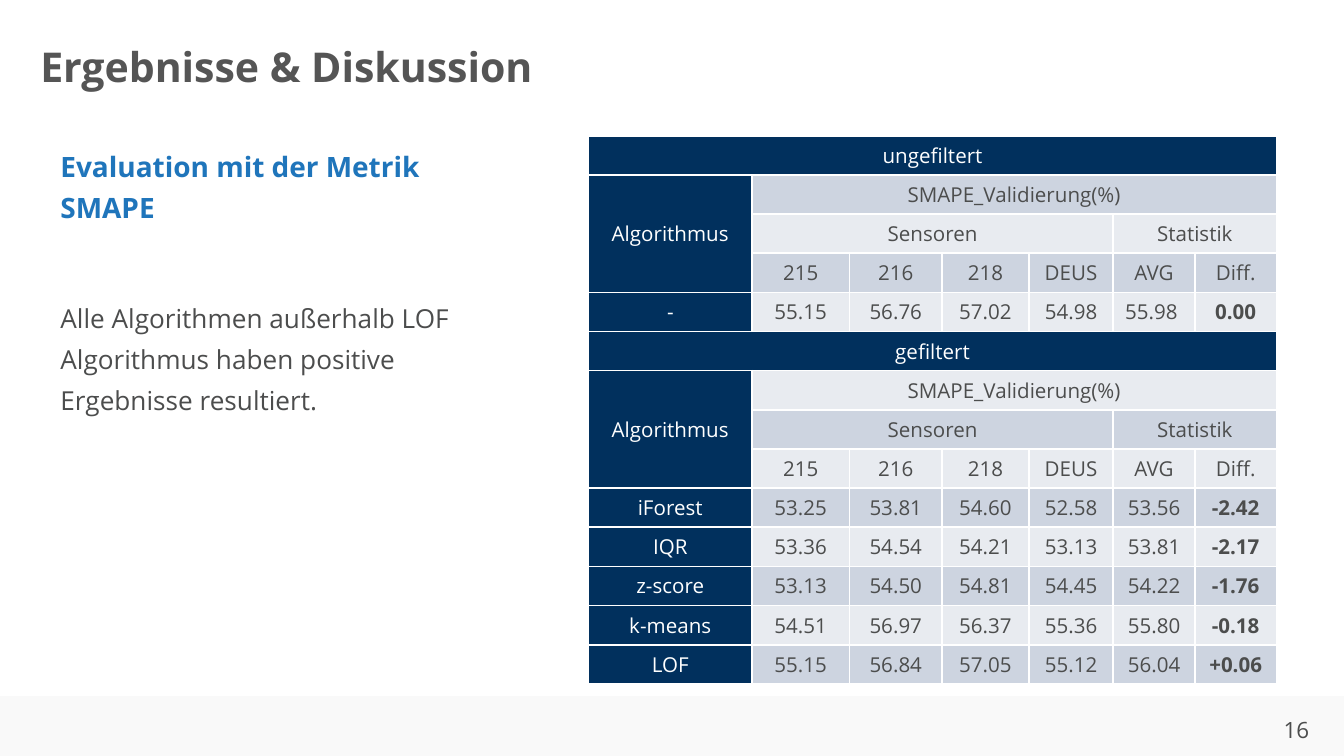
import pptx
import pptx.dml.color
import pptx.enum.shapes
import pptx.enum.text
import pptx.oxml
import pptx.oxml.ns
import pptx.util

Inches = pptx.util.Inches
Pt = pptx.util.Pt
ALIGN = pptx.enum.text.PP_ALIGN
MIDDLE = pptx.enum.text.MSO_ANCHOR.MIDDLE
FONT = "Open Sans"
COLORS = {
    "title": "555555",
    "text": "4C4D4D",
    "blue": "1F75BB",
    "navy": "01305D",
    "dark": "CDD4E0",
    "light": "E8EBF0",
    "white": "FFFFFF",
    "footer": "F9F9F9",
}
WIDTHS = [1.22, 0.73, 0.69, 0.65, 0.63, 0.61, 0.61]
PLAIN = [["-", "55.15", "56.76", "57.02", "54.98", "55.98 ", "0.00"]]
CLEANED = [
    ["iForest", "53.25", "53.81", "54.60", "52.58", "53.56", "-2.42"],
    ["IQR", "53.36", "54.54", "54.21", "53.13", "53.81", "-2.17"],
    ["z-score", "53.13", "54.50", "54.81", "54.45", "54.22", "-1.76"],
    ["k-means", "54.51", "56.97", "56.37", "55.36", "55.80", "-0.18"],
    ["LOF", "55.15", "56.84", "57.05", "55.12", "56.04", "+0.06"],
]


def color(name):
    return pptx.dml.color.RGBColor.from_string(COLORS[name])


def style(para, size, tone, bold=False, align=ALIGN.LEFT):
    para.alignment = align
    for run in para.runs:
        run.font.name = FONT
        run.font.size = Pt(size)
        run.font.bold = bold
        run.font.color.rgb = color(tone)


def add_box(slide, left, top, width, height):
    box = slide.shapes.add_textbox(Inches(left), Inches(top), Inches(width), Inches(height))
    box.text_frame.word_wrap = True
    return box.text_frame


def add_title(slide, left, top, width, height):
    title = slide.shapes.title
    title.left, title.top = Inches(left), Inches(top)
    title.width, title.height = Inches(width), Inches(height)
    frame = title.text_frame
    frame.text = "Ergebnisse & Diskussion"
    frame.auto_size = pptx.enum.text.MSO_AUTO_SIZE.NONE
    frame.vertical_anchor = MIDDLE
    frame.paragraphs[0].line_spacing = 0.9
    style(frame.paragraphs[0], 22, "title", True)


def add_footer(slide, left, top, width, height):
    band = slide.shapes.add_shape(
        pptx.enum.shapes.MSO_SHAPE.RECTANGLE,
        Inches(left), Inches(top), Inches(width), Inches(height))
    band.shadow.inherit = False
    band.fill.solid()
    band.fill.fore_color.rgb = color("footer")
    band.line.fill.background()
    frame = add_box(slide, left + width - 0.65, top + 0.1, 0.59, 0.3)
    frame.text = "16"
    style(frame.paragraphs[0], 12, "text", align=ALIGN.CENTER)


def add_body(slide, left, top, width, height):
    frame = add_box(slide, left, top, width, height)
    frame.margin_left = Inches(0.09)
    head = frame.paragraphs[0]
    head.text = "Evaluation mit der Metrik SMAPE"
    head.space_before = Pt(7.5)
    style(head, 15, "blue", True)
    note = frame.add_paragraph()
    note.text = "Alle Algorithmen außerhalb LOF Algorithmus haben positive Ergebnisse resultiert."
    note.space_before = Pt(36.5)
    style(note, 14, "text")
    for para in frame.paragraphs:
        para.line_spacing = Pt(22)


def add_edges(cell):
    props = cell._tc.get_or_add_tcPr()
    for side in ("lnL", "lnR", "lnT", "lnB"):
        props.append(pptx.oxml.parse_xml(
            f'<a:{side} {pptx.oxml.ns.nsdecls("a")} w="12700"><a:solidFill>'
            f'<a:srgbClr val="{COLORS["white"]}"/></a:solidFill></a:{side}>'))


def fill_cell(cell, text, fill, tone, bold):
    cell.margin_left = cell.margin_right = Inches(0.07)
    cell.margin_top = cell.margin_bottom = 0
    cell.vertical_anchor = MIDDLE
    add_edges(cell)
    cell.fill.solid()
    cell.fill.fore_color.rgb = color(fill)
    cell.text_frame.text = text
    style(cell.text_frame.paragraphs[0], 11, tone, bold, ALIGN.CENTER)


def make_block(name, rows):
    return [
        [name] + [""] * 6,
        ["Algorithmus", "SMAPE_Validierung(%)"] + [""] * 5,
        ["", "Sensoren", "", "", "", "Statistik", ""],
        ["", "215", "216", "218", "DEUS", "AVG", "Diff."],
    ] + rows


def merge_heads(table, top):
    for row, col, last_row, last_col in (
            (0, 0, 0, 6), (1, 0, 3, 0), (1, 1, 1, 6), (2, 1, 2, 4), (2, 5, 2, 6)):
        table.cell(top + row, col).merge(table.cell(top + last_row, last_col))


def add_scores(slide, left, top, width, height):
    plain = make_block("ungefiltert", PLAIN)
    rows = plain + make_block("gefiltert", CLEANED)
    starts = (0, len(plain))
    table = slide.shapes.add_table(
        len(rows), len(WIDTHS),
        Inches(left), Inches(top), Inches(width), Inches(height)).table
    table.horz_banding = False
    for col, size in zip(table.columns, WIDTHS):
        col.width = Inches(width * size / sum(WIDTHS))
    for row in table.rows:
        row.height = Inches(height / len(rows))
    for r, row in enumerate(rows):
        for c, text in enumerate(row):
            head = c == 0 or r in starts
            fill = "navy" if head else "dark" if r % 2 else "light"
            bold = c == 6 and text[-1:].isdigit()
            fill_cell(table.cell(r, c), text, fill, "white" if head else "text", bold)
    for start in starts:
        merge_heads(table, start)


def main():
    deck = pptx.Presentation()
    deck.slide_width, deck.slide_height = Inches(10), Inches(10 * 9 / 16)
    slide = deck.slides.add_slide(deck.slide_layouts[5])
    add_footer(slide, 0, 5.18, 10, 0.45)
    add_title(slide, 0.2, 0.28, 7.09, 0.47)
    add_scores(slide, 4.38, 1.01, 5.12, 4.08)
    add_body(slide, 0.36, 1.01, 3.54, 1.81)
    deck.save("out.pptx")


if __name__ == "__main__":
    main()
